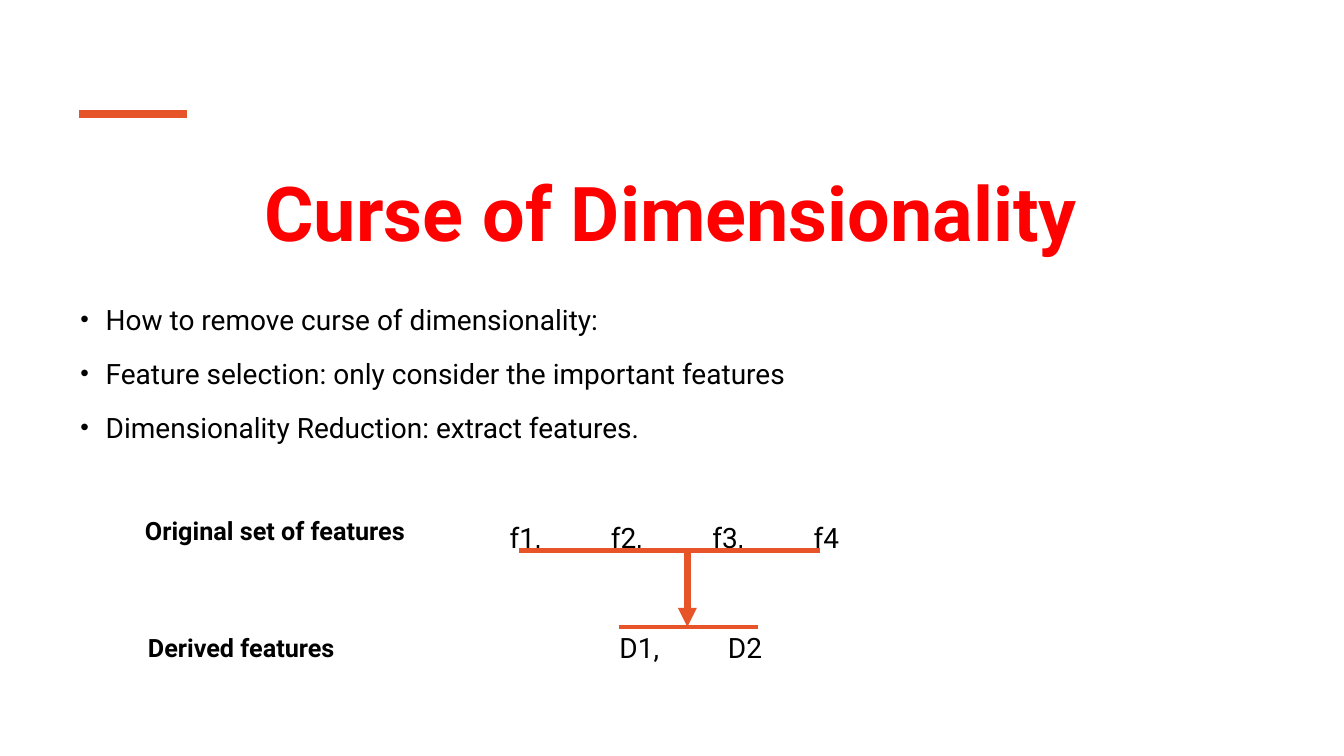
from lxml import etree
from pptx import Presentation
from pptx.dml.color import RGBColor
from pptx.enum.shapes import MSO_CONNECTOR
from pptx.enum.text import MSO_ANCHOR, PP_ALIGN
from pptx.oxml.ns import qn
from pptx.util import Pt

STRAIGHT = MSO_CONNECTOR.STRAIGHT
MIDDLE, TOP = MSO_ANCHOR.MIDDLE, MSO_ANCHOR.TOP
CENTER = PP_ALIGN.CENTER
COLORS = {"accent": "E75429", "title": "FF0000", "text": "000000"}
FONT = "Roboto"


def style(para, size, color="text", bold=False):
    para.font.name = FONT
    para.font.size = Pt(size)
    para.font.bold = bold
    para.font.color.rgb = RGBColor.from_string(COLORS[color])


def add_text(left, top, width, height, inset=0):
    box = page.shapes.add_textbox(Pt(left), Pt(top), Pt(width), Pt(height))
    frame = box.text_frame
    frame.word_wrap = True
    frame.vertical_anchor = TOP
    frame.margin_left = frame.margin_right = Pt(2 * inset)
    frame.margin_top = frame.margin_bottom = Pt(inset)
    return frame


deck = Presentation()
deck.slide_width, deck.slide_height = Pt(960), Pt(540)
page = deck.slides.add_slide(deck.slide_layouts[5])

title = page.shapes.title
title.left, title.top, title.width, title.height = Pt(50.4), Pt(108), Pt(857.5), Pt(86.4)
title.text_frame.text = "Curse of Dimensionality"
title.text_frame.vertical_anchor = MIDDLE
title.text_frame.paragraphs[0].alignment = CENTER
style(title.text_frame.paragraphs[0], 54, "title", True)

bullets = [
    "How to remove curse of dimensionality:",
    "Feature selection: only consider the important features",
    "Dimensionality Reduction: extract features.",
]
body = add_text(50.4, 207.4, 857.5, 130, 3.6)
for index, bullet in enumerate(bullets):
    para = body.paragraphs[0] if index == 0 else body.add_paragraph()
    para.text = bullet
    para.line_spacing = 1.2
    if index:
        para.space_before = Pt(10)
    properties = para._p.get_or_add_pPr()
    properties.set("marL", str(Pt(18)))
    properties.set("indent", str(-Pt(18)))
    etree.SubElement(properties, qn("a:buSzPct")).set("val", "87000")
    etree.SubElement(properties, qn("a:buFont")).set("typeface", "Arial")
    etree.SubElement(properties, qn("a:buChar")).set("char", "•")
    style(para, 20)

feature_rows = [
    (["f1,", "f2,", "f3,", "f4"], 364, 372, 72.4),
    (["D1,", "D2"], 442.5, 450, 77.5),
]
for features, left, top, step in feature_rows:
    para = add_text(left, top, 320, 24).paragraphs[0]
    para.text = "\t".join(features)
    tabs = etree.SubElement(para._p.get_or_add_pPr(), qn("a:tabLst"))
    for number in range(1, len(features)):
        etree.SubElement(tabs, qn("a:tab"), pos=str(Pt(number * step)), algn="l")
    style(para, 20)

for label, left, top, width in [
    ("Original set of features", 96.5, 364.3, 203.8),
    ("Derived features", 98.6, 447.8, 151.2),
]:
    para = add_text(left, top, width, 28.8, 3.6).paragraphs[0]
    para.text = label
    style(para, 18, bold=True)

lines = [
    (56.5, 81.4, 133.5, 81.4, 6, False),
    (370.8, 393.1, 586, 393.1, 3.5, False),
    (442.1, 447.8, 541.4, 447.8, 2.75, False),
    (491, 393.1, 491, 447.8, 4.5, True),
]
for start_x, start_y, end_x, end_y, weight, arrow in lines:
    line = page.shapes.add_connector(STRAIGHT, Pt(start_x), Pt(start_y), Pt(end_x), Pt(end_y))
    line.line.color.rgb = RGBColor.from_string(COLORS["accent"])
    line.line.width = Pt(weight)
    if arrow:
        etree.SubElement(line.line._get_or_add_ln(), qn("a:tailEnd")).set("type", "triangle")
    etree.SubElement(line._element.spPr, qn("a:effectLst"))

deck.save("out.pptx")
